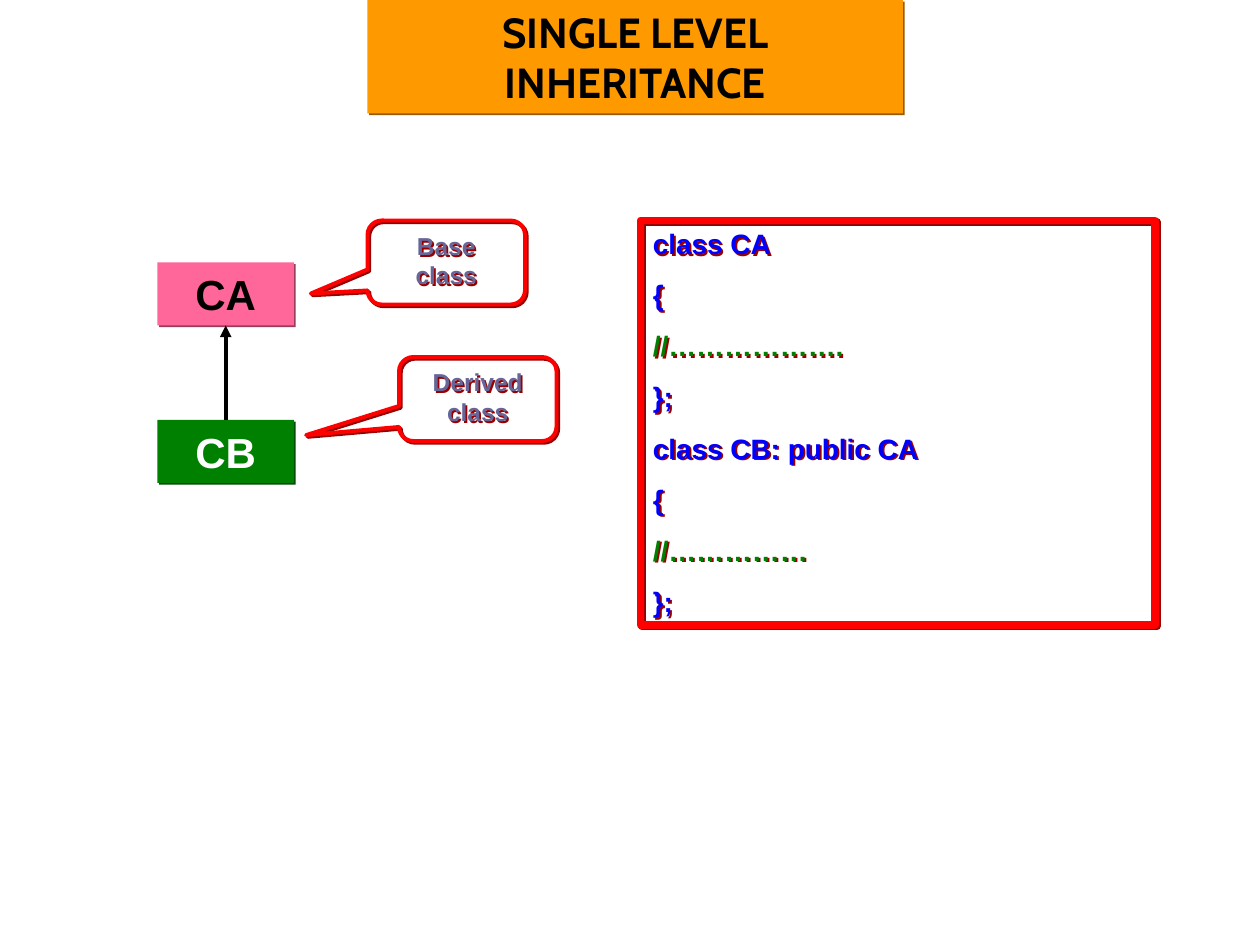
"""Build a slide that explains single level inheritance."""
import pptx
import pptx.util
import pptx.dml.color
import pptx.enum.shapes
import pptx.enum.text
import pptx.oxml
import pptx.oxml.ns

RGBColor = pptx.dml.color.RGBColor
Kind = pptx.enum.shapes.MSO_SHAPE
Anchor = pptx.enum.text.MSO_ANCHOR
Align = pptx.enum.text.PP_ALIGN
Fit = pptx.enum.text.MSO_AUTO_SIZE

BLACK = RGBColor(0x00, 0x00, 0x00)
WHITE = RGBColor(0xFF, 0xFF, 0xFF)
RED = RGBColor(0xFF, 0x00, 0x00)
DARK_RED = RGBColor(0x98, 0x00, 0x00)
ORANGE = RGBColor(0xFF, 0x99, 0x00)
BROWN = RGBColor(0x98, 0x5B, 0x00)
PINK = RGBColor(0xFF, 0x66, 0x99)
PLUM = RGBColor(0x98, 0x3C, 0x5B)
GREEN = RGBColor(0x00, 0x80, 0x00)
DARK_GREEN = RGBColor(0x00, 0x4C, 0x00)
BLUE = RGBColor(0x00, 0x00, 0xFF)
SLATE = RGBColor(0x66, 0x66, 0x99)

deck = pptx.Presentation()
deck.slide_width = pptx.util.Inches(10)
deck.slide_height = pptx.util.Inches(7.5)
page = deck.slides.add_slide(deck.slide_layouts[6])
column = deck.slide_width / 120
row = deck.slide_height / 90


def add_box(kind, left, top, width, height, shadow, fill=None, line_width=None):
    box = page.shapes.add_shape(
        kind, round(left * column), round(top * row), round(width * column), round(height * row)
    )
    if fill is None:
        box.fill.background()
        box.line.color.rgb = RED
        box.line.width = pptx.util.Pt(line_width)
    else:
        box.fill.solid()
        box.fill.fore_color.rgb = fill
        box.line.fill.background()
    box.shadow.inherit = False
    effects = box._element.spPr.find(pptx.oxml.ns.qn("a:effectLst"))
    effects.append(pptx.oxml.parse_xml(
        f'<a:outerShdw {pptx.oxml.ns.nsdecls("a")} dist="17961" dir="2700000">'
        f'<a:srgbClr val="{shadow}"/></a:outerShdw>'
    ))
    return box


def write(box, lines, size, font="Arial", align=Align.CENTER, before=0, anchor=Anchor.TOP):
    frame = box.text_frame
    frame.vertical_anchor = anchor
    frame.word_wrap = True
    for index, (text, color) in enumerate(lines):
        para = frame.add_paragraph() if index else frame.paragraphs[0]
        para.alignment = align
        para.space_before = pptx.util.Pt(before)
        span = para.add_run()
        span.text = text
        span.font.name = font
        span.font.size = pptx.util.Pt(size)
        span.font.bold = True
        span.font.color.rgb = color


code = [
    ("class CA", BLUE),
    ("{", BLUE),
    ("//……………….", GREEN),
    ("};", BLUE),
    ("class CB: public CA", BLUE),
    ("{", BLUE),
    ("//……………", GREEN),
    ("};", BLUE),
]
code_box = add_box(Kind.RECTANGLE, 61, 21, 49, 38.5, DARK_RED, line_width=4.5)
write(code_box, code, 16, align=Align.LEFT, before=10)
code_box.text_frame.auto_size = Fit.SHAPE_TO_FIT_TEXT

title_box = add_box(Kind.RECTANGLE, 35, 0, 51, 10.8, BROWN, fill=ORANGE)
write(title_box, [("SINGLE LEVEL INHERITANCE", BLACK)], 24, font="Cabin", before=15)
title_box.text_frame.auto_size = Fit.SHAPE_TO_FIT_TEXT

class_boxes = {}
for name, top, fill, shadow, color in [
    ("CA", 25, PINK, PLUM, BLACK),
    ("CB", 40, GREEN, DARK_GREEN, WHITE),
]:
    class_box = add_box(Kind.RECTANGLE, 15, top, 13, 6, shadow, fill=fill)
    write(class_box, [(name, color)], 24, anchor=Anchor.MIDDLE)
    class_box.text_frame.word_wrap = False
    class_boxes[name] = class_box

arrow = page.shapes.add_connector(pptx.enum.shapes.MSO_CONNECTOR.STRAIGHT, 0, 0, 0, 0)
arrow.begin_connect(class_boxes["CB"], 0)
arrow.end_connect(class_boxes["CA"], 2)
arrow.line.color.rgb = BLACK
arrow.line.width = pptx.util.Pt(2.25)
arrow.line._get_or_add_ln().append(
    pptx.oxml.parse_xml(f'<a:tailEnd {pptx.oxml.ns.nsdecls("a")} type="triangle"/>')
)
arrow._element.spPr.append(
    pptx.oxml.parse_xml(f'<a:effectLst {pptx.oxml.ns.nsdecls("a")}/>')
)

for word, left, top, tip_x, tip_y in [
    ("Derived", 38, 34, -1.09, 0.43),
    ("Base", 35, 21, -0.86, 0.37),
]:
    callout = add_box(
        Kind.ROUNDED_RECTANGULAR_CALLOUT, left, top, 15, 8, DARK_RED, line_width=2.25
    )
    callout.adjustments[0] = tip_x
    callout.adjustments[1] = tip_y
    callout.adjustments[2] = 0.17
    write(callout, [(word, SLATE), ("class", SLATE)], 14)

deck.save("out.pptx")
